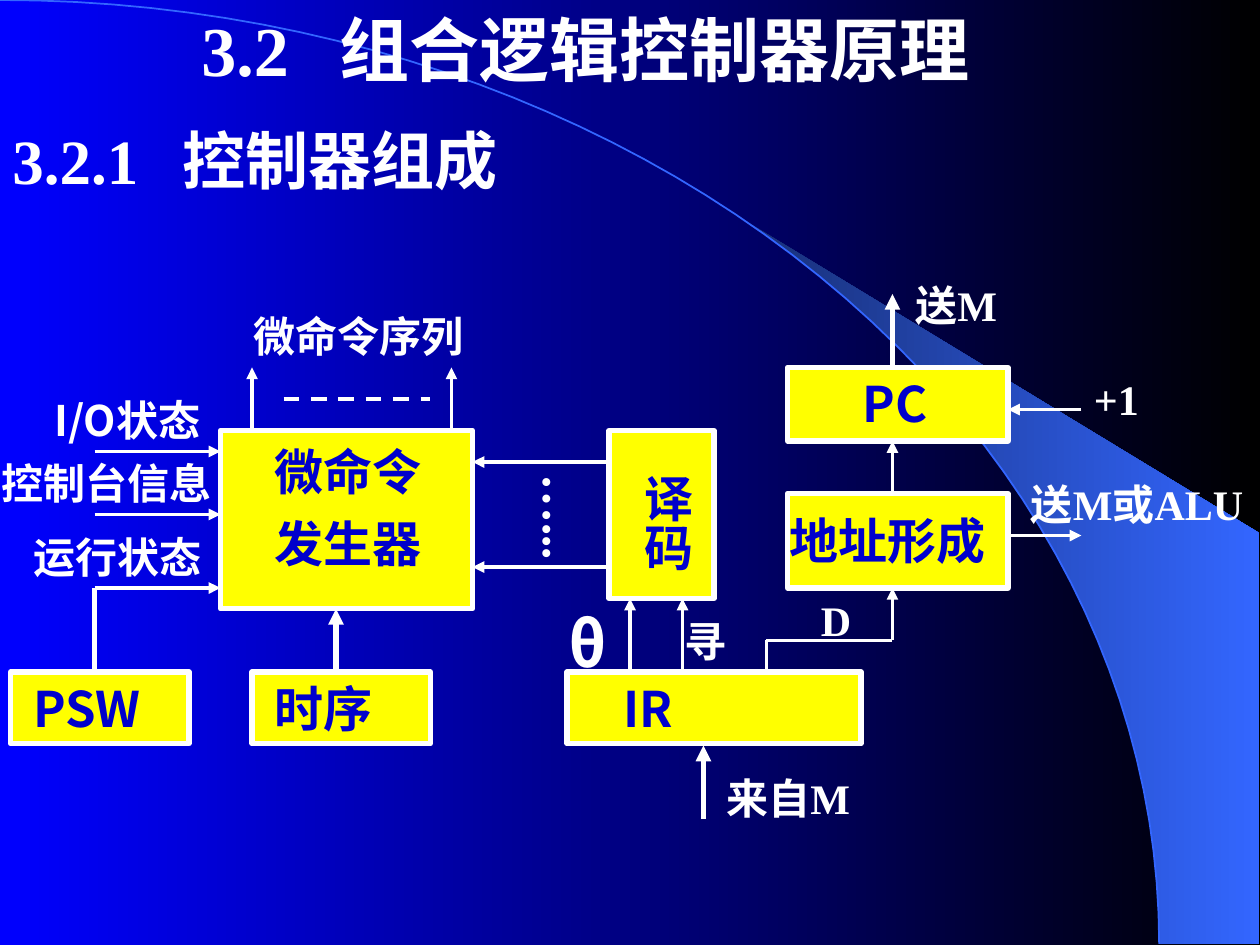
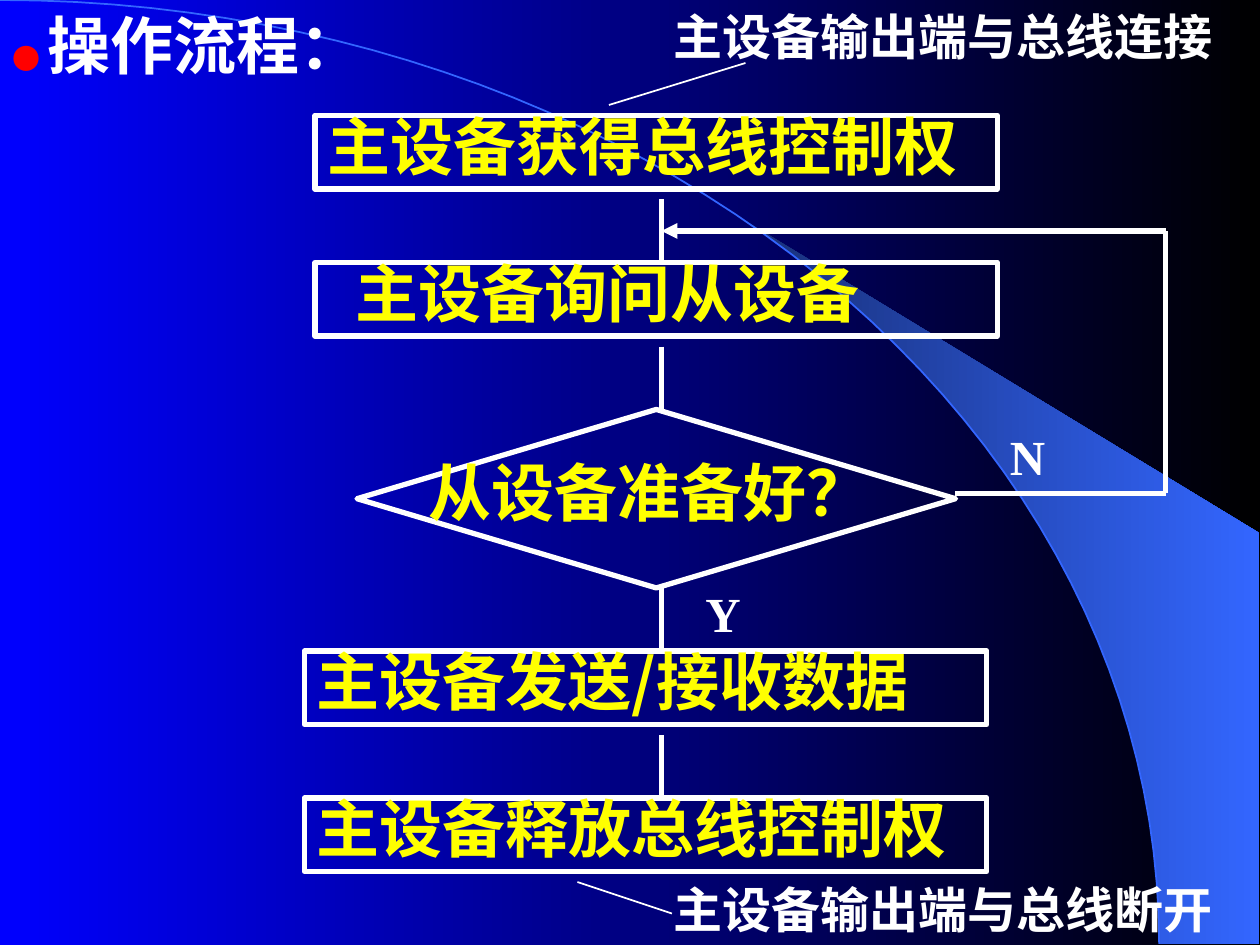
"""Build two slides on controller structure and bus operation flow."""
import math

import pptx
import pptx.dml.color
import pptx.enum.shapes
import pptx.enum.text
import pptx.oxml
import pptx.oxml.ns
import pptx.util

Pt = pptx.util.Pt
KIND = pptx.enum.shapes.MSO_SHAPE
WIDE, HIGH = 720, 540
INK = {
    "white": "FFFFFF", "yellow": "FFFF00", "navy": "0000CC", "red": "FF0000",
    "blue": "0000FF", "black": "000000", "dusk": "182F76", "sky": "3366FF",
}
TIMES, NOTO = "Times New Roman", "Noto Sans CJK SC"


def tint(name):
    return pptx.dml.color.RGBColor.from_string(INK[name])


def node(tag, **items):
    part = pptx.oxml.parse_xml(f"<a:{tag} {pptx.oxml.ns.nsdecls('a')}/>")
    for key, value in items.items():
        part.set(key, str(value))
    return part


def blend(fill, first, last):
    fill.gradient()
    fill.gradient_angle = 0
    for stop, name, spot in zip(fill.gradient_stops, (first, last), (0, 1)):
        stop.color.rgb = tint(name)
        stop.position = spot


def write(shape, lines, size=24, ink="white", font=TIMES, space=None, left=0, tab=None):
    frame = shape.text_frame
    frame.word_wrap = True
    frame.auto_size = pptx.enum.text.MSO_AUTO_SIZE.SHAPE_TO_FIT_TEXT
    frame.vertical_anchor = pptx.enum.text.MSO_ANCHOR.TOP
    for row, line in enumerate(lines):
        para = frame.add_paragraph() if row else frame.paragraphs[0]
        para.alignment = pptx.enum.text.PP_ALIGN.LEFT
        if space:
            para.line_spacing = space
        if row:
            para.space_before = Pt(17.5)
        props = para._p.get_or_add_pPr()
        props.set("marL", str(Pt(left)))
        if tab:
            stops = node("tabLst")
            stops.append(node("tab", pos=Pt(tab), algn="l"))
            props.append(stops)
        runs = [(line, size, ink)] if isinstance(line, str) else line
        for words, high, shade in runs:
            run = para.add_run()
            run.text = words
            run.font.size = Pt(high)
            run.font.bold = True
            run.font.name = font
            run.font.color.rgb = tint(shade)
            run._r.get_or_add_rPr().find(pptx.oxml.ns.qn("a:latin")).addnext(
                node("ea", typeface=NOTO))


class Zone:
    """A region of a slide whose parts are placed from its corner."""

    def __init__(self, slide, x, y):
        self.shapes, self.x, self.y = slide.shapes, x, y

    def place(self, x, y):
        return Pt(self.x + x), Pt(self.y + y)

    def block(self, x, y, w, h, fill="yellow", kind=KIND.RECTANGLE):
        shape = self.shapes.add_shape(kind, *self.place(x, y), Pt(w), Pt(h))
        shape.shadow.inherit = False
        if fill:
            shape.fill.solid()
            shape.fill.fore_color.rgb = tint(fill)
        else:
            shape.fill.background()
        shape.line.color.rgb = tint("white")
        shape.line.width = Pt(3)
        return shape

    def label(self, words, x, y, w, h=36, **style):
        box = self.shapes.add_textbox(*self.place(x, y), Pt(w), Pt(h))
        write(box, [words] if isinstance(words, str) else words, **style)
        return box

    def stack(self, words, x, y, ink):
        box = self.label(words, x, y, 47.5, 78, size=28, ink=ink)
        frame = box.text_frame
        frame.margin_left = frame.margin_right = Pt(3.6)
        frame.margin_top = frame.margin_bottom = Pt(7.2)
        frame._txBody.bodyPr.set("vert", "eaVert")

    def line(self, x1, y1, x2, y2, width=2.25, arrow=False, dash=False):
        wire = self.shapes.add_connector(
            pptx.enum.shapes.MSO_CONNECTOR.STRAIGHT,
            *self.place(x1, y1), *self.place(x2, y2))
        wire.line.color.rgb = tint("white")
        wire.line.width = Pt(width)
        props = wire._element.spPr
        if dash:
            props.ln.append(node("prstDash", val="dash"))
        if arrow:
            props.ln.append(node("tailEnd", type="triangle"))
        props.append(node("effectLst"))


def curve(w, h, start=0):
    turns = [math.radians(start + (90 - start) * i / 48) for i in range(49)]
    return [(Pt(w * math.sin(t)), Pt(h * (1 - math.cos(t)))) for t in turns]


def trace(slide, dots, close):
    build = slide.shapes.build_freeform(*dots[0])
    build.add_line_segments(dots[1:], close=close)
    shape = build.convert_to_shape()
    shape.shadow.inherit = False
    return shape


def sweep(slide, w, h):
    """Draw the backdrop wedge and arc within a box of the given size."""
    edge = curve(662.4, h, 39.8)
    wedge = trace(slide, edge + [(Pt(w), Pt(h)), (Pt(w), Pt(304.5))], True)
    blend(wedge.fill, "dusk", "sky")
    wedge.line.fill.background()
    arc = trace(slide, curve(662.4, h), False)
    arc.fill.background()
    arc.line.color.rgb = tint("sky")
    arc.line.width = Pt(1)


def maker(slide, x, y):
    """Draw the command generator with its inputs and outputs."""
    zone = Zone(slide, x, y)
    zone.line(162, 60, 246, 60, dash=True)
    zone.block(126, 78, 144, 102)
    zone.label(["微命令", "发生器"], 150, 90, 102, 72, size=28, ink="navy", space=0.7)
    for out in (144, 258):
        zone.line(out, 78, out, 42, arrow=True)
    zone.label("微命令序列", 138, 6, 138)
    inputs = [("I/O状态", 24, 54, 114, 90, NOTO), ("控制台信息", -6, 90, 138, 126, TIMES),
              ("运行状态", 12, 132, 138, 168, TIMES)]
    for words, left, top, wide, level, font in inputs:
        zone.line(54, level, 126, level, arrow=True)
        zone.label(words, left, top, wide, font=font)
    zone.line(54, 168, 54, 216, width=3)
    zone.line(192, 222, 192, 180, width=3, arrow=True)
    for words, left in (("PSW", 6), ("时序", 144)):
        write(zone.block(left, 216, 102, 41), [words], 28, "navy", NOTO, left=6)


def coder(slide, x, y):
    """Draw the decoder and the instruction register below it."""
    zone = Zone(slide, x, y)
    zone.block(78, 6, 60, 96)
    zone.stack("译码", 84, 24, "navy")
    for level in (24, 84):
        zone.line(78, level, 0, level, arrow=True)
    zone.stack("…...", 24.5, 24, "white")
    write(zone.block(54, 144, 168, 41), ["IR"], 28, "navy", NOTO, left=25)
    for rise in (90, 120):
        zone.line(rise, 144, rise, 102, arrow=True)
    zone.line(132, 228, 132, 186, width=3, arrow=True)
    zone.label("θ", 48, 102, 90, 50, size=36, font=NOTO)
    zone.label("寻", 114, 108, 78)
    zone.label("来自M", 138, 198, 138)


def finder(slide, x, y):
    """Draw the program counter and the address former."""
    zone = Zone(slide, x, y)
    zone.block(12, 54, 126, 42)
    zone.block(12, 126, 126, 54)
    zone.label("地址形成", 6, 132, 162, 41, size=28, ink="navy")
    zone.label("PC", 48, 54, 102, 41, size=28, ink="navy", font=NOTO)
    zone.line(0, 228, 0, 210)
    zone.line(0, 210, 72, 210)
    for x1, y1, x2, y2 in ((72, 210, 72, 180), (72, 126, 72, 96),
                           (180, 78, 138, 78), (138, 150, 180, 150)):
        zone.line(x1, y1, x2, y2, arrow=True)
    zone.line(72, 54, 72, 12, width=3, arrow=True)
    for words, left, top, wide, high in (
            ("D", 24, 180, 78, 36), ("送M或ALU", 144, 114, 138, 65),
            ("+1", 180, 54, 78, 36), ("送M", 78, 0, 78, 36)):
        zone.label(words, left, top, wide, high)


def flow(slide, x, y):
    """Draw the steps, the decision and the loop back."""
    zone = Zone(slide, x, y)
    look = dict(size=36, ink="yellow", font=NOTO, space=0.8)
    steps = [("主设备获得总线控制权", 6, 0, 0), ("主设备询问从设备", 6, 84, 16),
             ("主设备发送/接收数据", 0, 306, 0), ("主设备释放总线控制权", 0, 390, 0)]
    for words, left, top, pad in steps:
        write(zone.block(left, top, 390, 42, None), [words], left=pad, **look)
    zone.block(30, 168, 342, 102, None, KIND.FLOWCHART_DECISION)
    zone.label("从设备准备好？", 48, 198, 324, 42, left=16, **look)
    for top in (48, 132, 270, 354):
        zone.line(204, top, 204, top + 36, width=3)
    zone.line(372, 216, 492, 216, width=3)
    zone.line(492, 216, 492, 66, width=3)
    zone.line(492, 66, 204, 66, width=3, arrow=True)
    zone.label("Y", 222, 264, 60, 41, size=28)
    zone.label("N", 396, 174, 60, 41, size=28)


def notes(slide, x, y):
    """Draw the heading and the two remarks with their leaders."""
    zone = Zone(slide, x, y)
    head = [("●", 16, "red"), (" ", 18, "red"), ("操作流程：", 36, "white")]
    zone.label([head], 0, 0, 258, 50, font=NOTO)
    zone.label("主设备输出端与总线连接", 378, 0, 342, 41, size=28)
    zone.label("主设备输出端与总线断开", 378, 499, 342, 41, size=28)
    zone.line(348, 60, 426, 36, width=1)
    zone.line(330, 504, 384, 522, width=1)


def titles(slide, x, y):
    """Draw the chapter and section titles."""
    zone = Zone(slide, x, y)
    zone.label("3.2\t组合逻辑控制器原理", 108, 0, 564, 55, size=40, tab=79)
    zone.label("3.2.1\t控制器组成", 0, 66, 408, 50, size=36, tab=97)


def main():
    deck = pptx.Presentation()
    deck.slide_width, deck.slide_height = Pt(WIDE), Pt(HIGH)
    blend(deck.slide_master.background.fill, "blue", "black")
    pages = [
        [(titles, 0, 0), (maker, 0, 168), (coder, 270, 240), (finder, 438, 156)],
        [(flow, 174, 66), (notes, 0, 0)],
    ]
    for parts in pages:
        slide = deck.slides.add_slide(deck.slide_layouts[6])
        sweep(slide, 719.3, 539.3)
        for draw, x, y in parts:
            draw(slide, x, y)
    deck.save("out.pptx")


if __name__ == "__main__":
    main()
